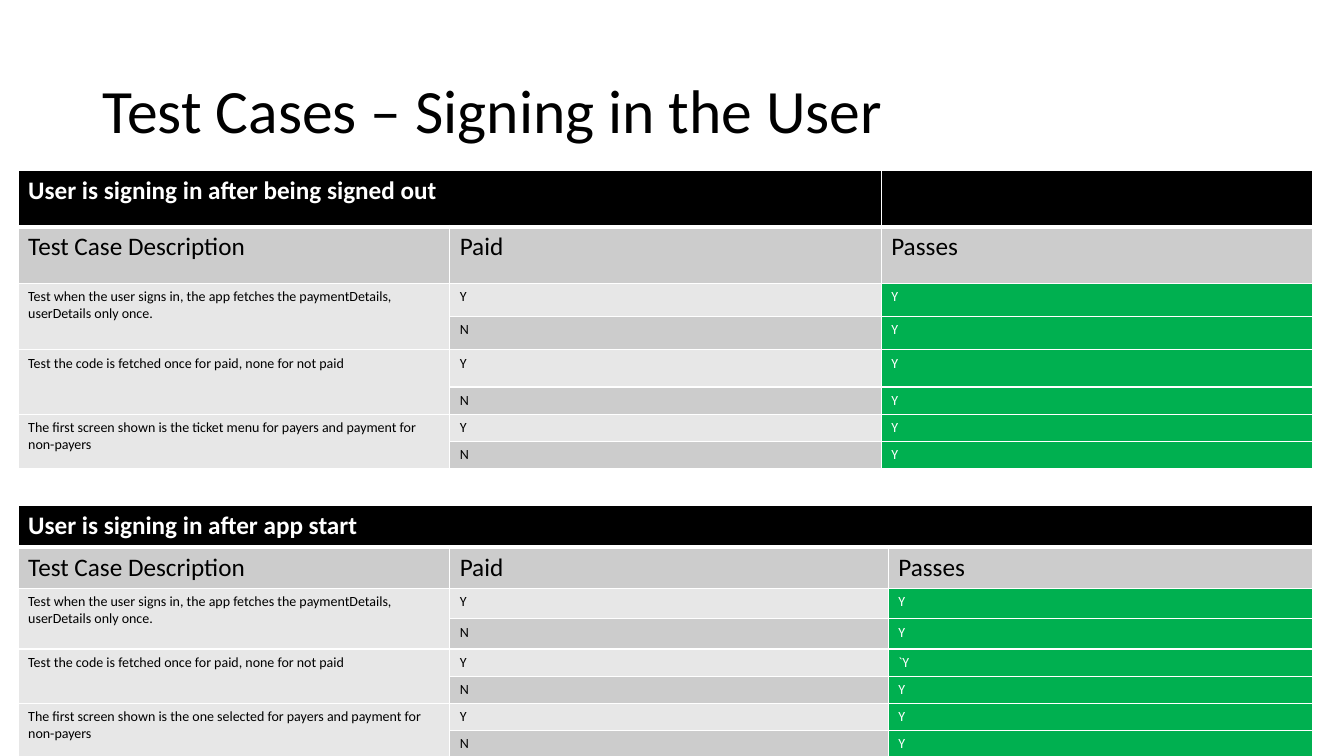
from dataclasses import dataclass

from lxml import etree
from pptx import Presentation
from pptx.dml.color import RGBColor
from pptx.enum import text
from pptx.oxml import ns
from pptx.util import Emu, Pt

PX = 9144  # one hundred px to the inch


@dataclass(frozen=True)
class Theme:
    font: str = "Calibri"
    black: str = "000000"
    white: str = "FFFFFF"
    dark_band: str = "CCCCCC"
    light_band: str = "E7E7E7"
    passed: str = "00B050"
    title_size: int = 44
    heading_size: int = 18
    body_size: int = 10
    border: float = 1
    heading_border: float = 3


THEME = Theme()
LEFT = 18
COLUMN_HEADINGS = ("Test Case Description", "Paid", "Passes")
FETCH_DETAILS = ("Test when the user signs in, the app fetches the "
                 "paymentDetails, userDetails only once.")
FETCH_CODE = "Test the code is fetched once for paid, none for not paid"

# Each case: description, result for paid, result for not paid
SIGNED_OUT_CASES = (
    (FETCH_DETAILS, "Y", "Y"),
    (FETCH_CODE, "Y", "Y"),
    ("The first screen shown is the ticket menu for payers and payment "
     "for non-payers", "Y", "Y"),
)
APP_START_CASES = (
    (FETCH_DETAILS, "Y", "Y"),
    (FETCH_CODE, "`Y", "Y"),
    ("The first screen shown is the one selected for payers and payment "
     "for non-payers", "Y", "Y"),
)


def px(length):
    return Emu(length * PX)


def write(frame, wording, size, color, bold=False):
    frame.text = wording
    for run in frame.paragraphs[0].runs:
        run.font.name = THEME.font
        run.font.size = Pt(size)
        run.font.bold = bold
        run.font.color.rgb = RGBColor.from_string(color)


def set_borders(cell, top, bottom):
    """Draw white edges; call before the fill, which must follow them."""
    properties = cell._tc.get_or_add_tcPr()
    widths = {"L": THEME.border, "R": THEME.border, "T": top, "B": bottom}
    for side, width in widths.items():
        line = etree.SubElement(properties, ns.qn(f"a:ln{side}"),
                                w=str(Pt(width)))
        fill = etree.SubElement(line, ns.qn("a:solidFill"))
        etree.SubElement(fill, ns.qn("a:srgbClr"), val=THEME.white)


def paint(cell, row, color):
    top = THEME.heading_border if row == 1 else THEME.border
    bottom = THEME.heading_border if row == 0 else THEME.border
    set_borders(cell, top, bottom)
    cell.fill.solid()
    cell.fill.fore_color.rgb = RGBColor.from_string(color)


def row_colors(row):
    if row == 0:
        return (THEME.black,) * 3
    if row == 1:
        return (THEME.dark_band,) * 3
    paid = THEME.dark_band if row % 2 else THEME.light_band
    return THEME.light_band, paid, THEME.passed


def add_title(slide, wording):
    title = slide.shapes.add_textbox(px(92), px(40), px(1150), px(145))
    frame = title.text_frame
    frame.word_wrap = True
    frame.vertical_anchor = text.MSO_ANCHOR.MIDDLE
    write(frame, wording, THEME.title_size, THEME.black)
    frame.paragraphs[0].line_spacing = 0.9


def add_test_table(slide, top, widths, heights, heading, heading_span, cases):
    frame = slide.shapes.add_table(len(heights), len(widths), px(LEFT),
                                   px(top), px(sum(widths)), px(sum(heights)))
    table = frame.table
    for column, width in zip(table.columns, widths):
        column.width = px(width)
    for index, height in enumerate(heights):
        table.rows[index].height = px(height)
        for column, color in enumerate(row_colors(index)):
            paint(table.cell(index, column), index, color)

    table.cell(0, 0).merge(table.cell(0, heading_span - 1))
    write(table.cell(0, 0).text_frame, heading, THEME.heading_size,
          THEME.white, bold=True)
    for column, label in enumerate(COLUMN_HEADINGS):
        write(table.cell(1, column).text_frame, label, THEME.heading_size,
              THEME.black)

    for number, (description, *results) in enumerate(cases):
        first = 2 + 2 * number
        table.cell(first, 0).merge(table.cell(first + 1, 0))
        write(table.cell(first, 0).text_frame, description, THEME.body_size,
              THEME.black)
        for offset, (paid, result) in enumerate(zip("YN", results)):
            write(table.cell(first + offset, 1).text_frame, paid,
                  THEME.body_size, THEME.black)
            write(table.cell(first + offset, 2).text_frame, result,
                  THEME.body_size, THEME.white)


def main():
    deck = Presentation()
    deck.slide_width, deck.slide_height = px(1333), px(750)
    slide = deck.slides.add_slide(deck.slide_layouts[6])
    add_title(slide, "Test Cases – Signing in the User")
    add_test_table(slide, 169, (428, 428, 428),
                   (56, 56, 33, 33, 37, 27, 27, 27),
                   "User is signing in after being signed out", 2,
                   SIGNED_OUT_CASES)
    add_test_table(slide, 501, (428, 435, 421),
                   (42, 41, 30, 30, 27, 27, 27, 27),
                   "User is signing in after app start", 3, APP_START_CASES)
    deck.save("out.pptx")


if __name__ == "__main__":
    main()
